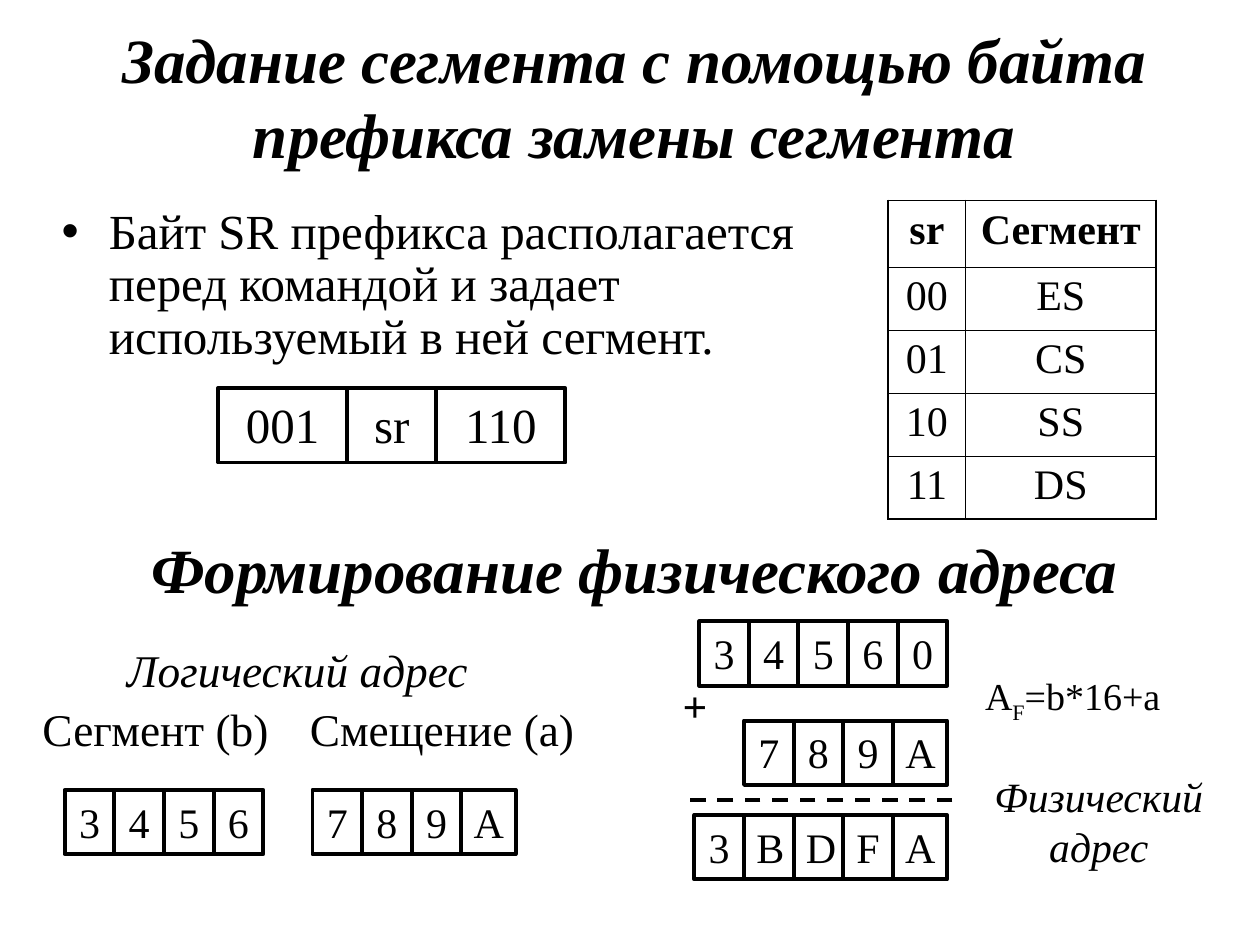
from dataclasses import dataclass

from lxml.etree import SubElement
from pptx import Presentation
from pptx.dml.color import RGBColor
from pptx.enum.dml import MSO_LINE
from pptx.enum.shapes import MSO_CONNECTOR, MSO_SHAPE
from pptx.enum.text import MSO_ANCHOR, MSO_AUTO_SIZE, PP_ALIGN
from pptx.oxml import parse_xml
from pptx.oxml.ns import nsdecls, qn
from pptx.util import Pt


@dataclass(frozen=True)
class Theme:
    font: str = "Times New Roman"
    ink: RGBColor = RGBColor(0, 0, 0)
    heading: float = 36
    body: float = 28
    digit: float = 24
    label: float = 25.9
    plus: float = 24.8
    result: float = 23.8
    formula: float = 21.7
    rule: float = 2.25
    outer_border: float = 1.08
    inner_border: float = 0.45


theme = Theme()


def style(frame, size, align=PP_ALIGN.CENTER, anchor=MSO_ANCHOR.TOP, bold=False, italic=False):
    frame.word_wrap = True
    frame.auto_size = MSO_AUTO_SIZE.NONE
    frame.vertical_anchor = anchor
    for paragraph in frame.paragraphs:
        paragraph.alignment = align
        for run in paragraph.runs:
            run.font.name = theme.font
            run.font.size = Pt(size)
            run.font.bold = bold
            run.font.italic = italic
            run.font.color.rgb = theme.ink


def add_cells(texts, widths, left, top, height, size):
    """Draw a row of touching outlined boxes, one for each text."""
    for text, width in zip(texts, widths):
        box = slide.shapes.add_shape(MSO_SHAPE.RECTANGLE, Pt(left), Pt(top), Pt(width), Pt(height))
        box.shadow.inherit = False
        box.fill.background()
        box.line.color.rgb = theme.ink
        box.line.width = Pt(theme.rule)
        box.text_frame.text = text
        style(box.text_frame, size)
        left += width


presentation = Presentation()
presentation.slide_width, presentation.slide_height = Pt(720), Pt(540)
slide = presentation.slides.add_slide(presentation.slide_layouts[1])

# Title and bullet
title, body = slide.placeholders
title.left, title.top, title.width, title.height = Pt(31), Pt(12.2), Pt(663), Pt(85)
title.text_frame.text = "Задание сегмента с помощью байта префикса замены сегмента"
style(title.text_frame, theme.heading, anchor=MSO_ANCHOR.MIDDLE, bold=True, italic=True)

body.left, body.top, body.width, body.height = Pt(28), Pt(114.5), Pt(439), Pt(110)
body.text_frame.text = (
    "Байт SR префикса располагается перед командой и задает используемый в ней сегмент."
)
bullet = body.text_frame.paragraphs[0]
bullet_props = bullet._p.get_or_add_pPr()
bullet_props.set("marL", str(Pt(27)))
bullet_props.set("indent", str(Pt(-27)))
SubElement(bullet_props, qn("a:buChar")).set("char", "•")
bullet.line_spacing = 0.9
bullet.space_before = Pt(0)
style(body.text_frame, theme.body, align=PP_ALIGN.LEFT)

# Prefix byte layout
add_cells(["001", "sr", "110"], [73.7, 51, 73.7], 124.7, 221.8, 42.5, theme.body)

# Segment register codes
codes = [("sr", "Сегмент"), ("00", "ES"), ("01", "CS"), ("10", "SS"), ("11", "DS")]
last_row, last_column = len(codes) - 1, 1
segments = slide.shapes.add_table(
    len(codes), 2, Pt(507.6), Pt(114.5), Pt(153), Pt(182.2)
).table
segments.first_row = segments.horz_banding = False
for column, width in zip(segments.columns, (44.2, 108.8)):
    column.width = Pt(width)
for r, texts in enumerate(codes):
    segments.rows[r].height = Pt(38.2 if r == 0 else 36)
    for c, text in enumerate(texts):
        cell = segments.cell(r, c)
        cell.fill.background()
        cell.margin_left = cell.margin_right = Pt(7.2)
        cell.margin_top = cell.margin_bottom = Pt(3.6)
        cell.text_frame.text = text
        style(cell.text_frame, theme.digit, bold=r == 0)
        on_edge = {"lnL": c == 0, "lnR": c == last_column, "lnT": r == 0, "lnB": r == last_row}
        for position, (side, outer) in enumerate(on_edge.items()):
            width = Pt(theme.outer_border if outer else theme.inner_border)
            border = parse_xml(
                f'<a:{side} {nsdecls("a")} w="{width}"><a:solidFill>'
                f'<a:srgbClr val="{theme.ink}"/></a:solidFill></a:{side}>'
            )
            cell._tc.get_or_add_tcPr().insert(position, border)

# Headings and labels of the address calculation
italic = {"italic": True}
labels = [
    ("Формирование физического адреса", 31, 298, 663, 54, theme.heading,
     {"bold": True, "italic": True, "anchor": MSO_ANCHOR.MIDDLE}),
    ("Логический адрес", 39.6, 363.6, 260.6, 39, theme.label, italic),
    ("Сегмент (b)", 17.2, 397.4, 158.4, 39, theme.label, {"align": PP_ALIGN.LEFT}),
    ("Смещение (a)", 170, 397.4, 187.2, 39, theme.label, {"align": PP_ALIGN.LEFT}),
    ("+", 383, 384.5, 34, 39, theme.plus, {"align": PP_ALIGN.LEFT, "bold": True}),
    ("Физический адрес", 547.2, 437, 161.3, 67, theme.result, italic),
]
for text, left, top, width, height, size, options in labels:
    label = slide.shapes.add_textbox(Pt(left), Pt(top), Pt(width), Pt(height))
    label.text_frame.text = text
    style(label.text_frame, size, **options)

formula = slide.shapes.add_textbox(Pt(555.8), Pt(381), Pt(147.6), Pt(39))
for part in ("A", "F", "=b*16+a"):
    formula.text_frame.paragraphs[0].add_run().text = part
style(formula.text_frame, theme.formula, align=PP_ALIGN.LEFT)
subscript = formula.text_frame.paragraphs[0].runs[1]
subscript.font._element.set("baseline", "-25000")

# Hexadecimal digits: logical address on the left, addition on the right
DIGIT_WIDTH, LETTER_WIDTH = 28.35, 31
for digits, left, top in [
    ("3456", 37, 451.4),
    ("789А", 178.6, 451.4),
    ("34560", 399.6, 355),
    ("789А", 425.2, 411.8),
    ("3BDFА", 396.8, 465.8),
]:
    widths = [LETTER_WIDTH if digit == "А" else DIGIT_WIDTH for digit in digits]
    add_cells(digits, widths, left, top, 36.8, theme.digit)

sum_line = slide.shapes.add_connector(
    MSO_CONNECTOR.STRAIGHT, Pt(544.3), Pt(457.2), Pt(391), Pt(457.2)
)
sum_line.line.color.rgb = theme.ink
sum_line.line.width = Pt(theme.rule)
sum_line.line.dash_style = MSO_LINE.DASH
SubElement(sum_line._element.spPr, qn("a:effectLst"))

presentation.save("out.pptx")
